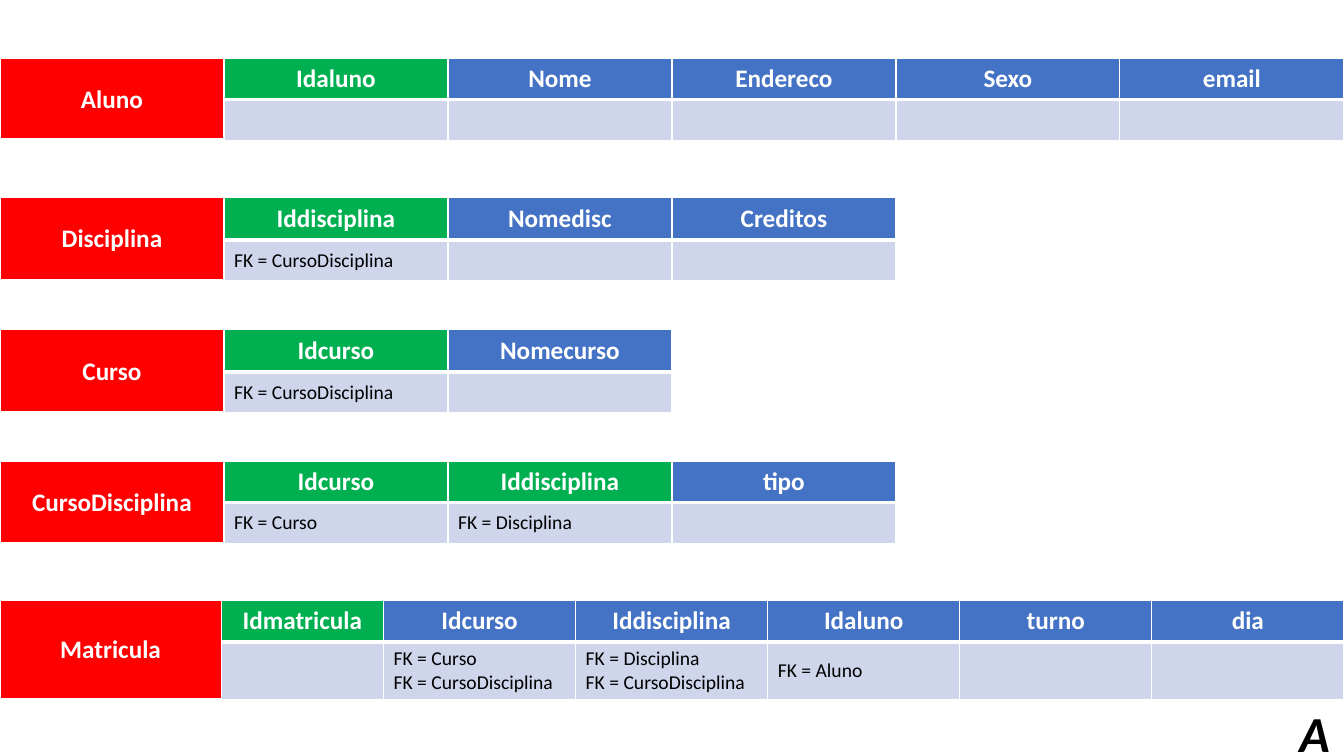
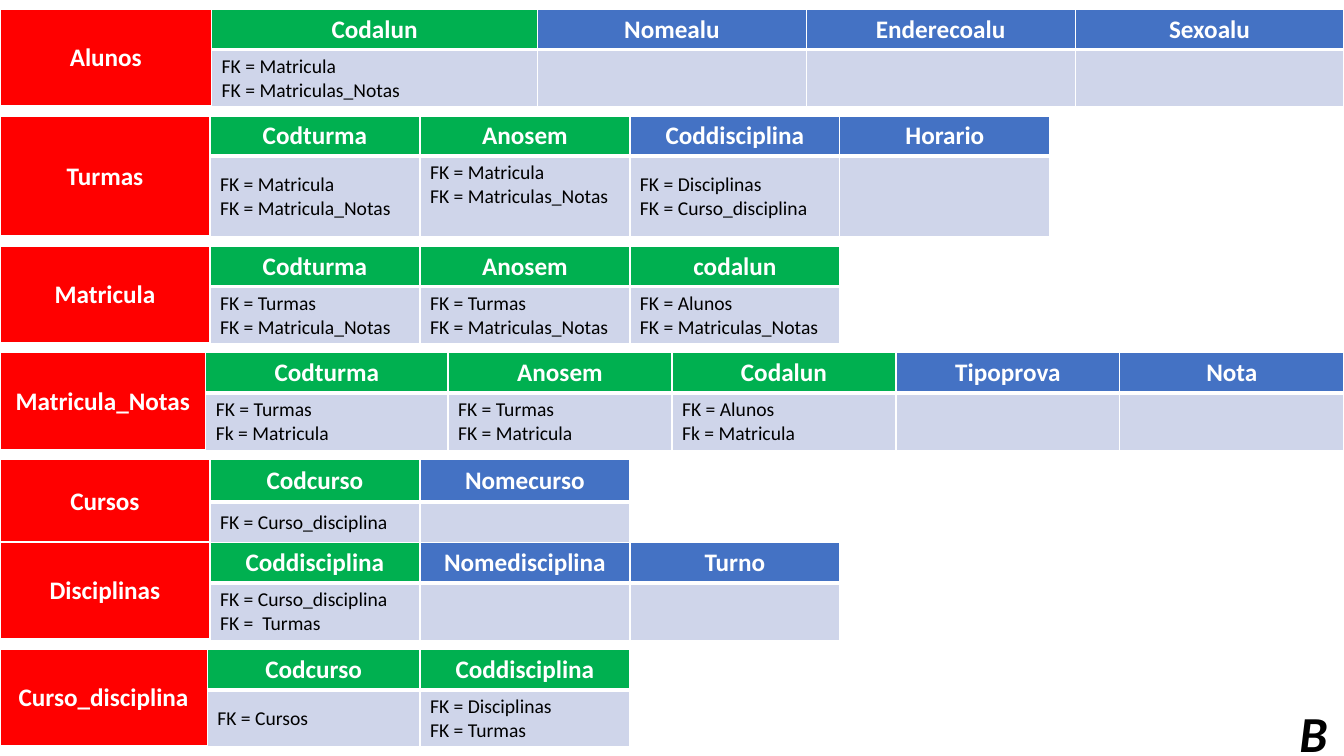
from dataclasses import dataclass

from lxml import etree
from pptx import Presentation
from pptx.dml.color import RGBColor
from pptx.enum.text import MSO_ANCHOR, PP_ALIGN
from pptx.oxml.ns import qn
from pptx.util import Pt

CENTER, LEFT = PP_ALIGN.CENTER, PP_ALIGN.LEFT
MIDDLE, TOP = MSO_ANCHOR.MIDDLE, MSO_ANCHOR.TOP

FONT = "Calibri"
WHITE, BLACK = "FFFFFF", "000000"
ENTITY_RED, KEY_GREEN = "FF0000", "00B050"
FIELD_BLUE, BODY_GREY = "4472C4", "CFD5EA"
SLIDE_WIDTH, SLIDE_HEIGHT = 960, 540
THIN, THICK = 1, 3

SINGLE = (28.8, 28.8)
ROOMY = (30, 29.5)
DOUBLE = (28.8, 41)
TALL = (28.8, 57.6)


@dataclass
class Field:
    name: str
    references: tuple = ()
    anchor: int = MIDDLE


@dataclass
class Entity:
    name: str
    top: float
    heights: tuple
    widths: list
    key_count: int
    fields: list


SCHEMA_A = [
    Entity("Aluno", 41.8, SINGLE, [160] * 6, 1, [
        Field("Idaluno"), Field("Nome"), Field("Endereco"),
        Field("Sexo"), Field("email")]),
    Entity("Disciplina", 141.2, ROOMY, [160] * 4, 1, [
        Field("Iddisciplina", ("FK = CursoDisciplina",)),
        Field("Nomedisc"), Field("Creditos")]),
    Entity("Curso", 235.6, ROOMY, [160] * 3, 1, [
        Field("Idcurso", ("FK = CursoDisciplina",)), Field("Nomecurso")]),
    Entity("CursoDisciplina", 329.8, SINGLE, [160] * 4, 2, [
        Field("Idcurso", ("FK = Curso",)),
        Field("Iddisciplina", ("FK = Disciplina",)), Field("tipo")]),
    Entity("Matricula", 429.2, DOUBLE, [158, 116] + [137.2] * 5, 1, [
        Field("Idmatricula"),
        Field("Idcurso", ("FK = Curso", "FK = CursoDisciplina")),
        Field("Iddisciplina", ("FK = Disciplina", "FK = CursoDisciplina")),
        Field("Idaluno", ("FK = Aluno",)), Field("turno"), Field("dia")]),
]

SCHEMA_B = [
    Entity("Alunos", 6.6, DOUBLE, [151.2, 232.8] + [192] * 3, 1, [
        Field("Codalun", ("FK = Matricula", "FK = Matriculas_Notas")),
        Field("Nomealu"), Field("Enderecoalu"), Field("Sexoalu")]),
    Entity("Turmas", 82.8, TALL, [150] * 5, 2, [
        Field("Codturma", ("FK = Matricula", "FK = Matricula_Notas")),
        Field("Anosem", ("FK = Matricula", "FK = Matriculas_Notas"), TOP),
        Field("Coddisciplina", ("FK = Disciplinas", "FK = Curso_disciplina")),
        Field("Horario")]),
    Entity("Matricula", 175.8, DOUBLE, [150] * 4, 3, [
        Field("Codturma", ("FK = Turmas", "FK = Matricula_Notas")),
        Field("Anosem", ("FK = Turmas", "FK = Matriculas_Notas")),
        Field("codalun", ("FK = Alunos", "FK = Matriculas_Notas"))]),
    Entity("Matricula_Notas", 252, DOUBLE, [147, 173] + [160] * 4, 3, [
        Field("Codturma", ("FK = Turmas", "Fk = Matricula")),
        Field("Anosem", ("FK = Turmas", "FK = Matricula")),
        Field("Codalun", ("FK = Alunos", "Fk = Matricula")),
        Field("Tipoprova"), Field("Nota")]),
    Entity("Cursos", 328.4, ROOMY, [150] * 3, 1, [
        Field("Codcurso", ("FK = Curso_disciplina",)), Field("Nomecurso")]),
    Entity("Disciplinas", 387.4, DOUBLE, [150] * 4, 1, [
        Field("Coddisciplina", ("FK = Curso_disciplina", "FK =  Turmas"), TOP),
        Field("Nomedisciplina"), Field("Turno")]),
    Entity("Curso_disciplina", 463.8, DOUBLE, [148, 152, 150], 2, [
        Field("Codcurso", ("FK = Cursos",)),
        Field("Coddisciplina", ("FK = Disciplinas", "FK = Turmas"))]),
]


def color(hex_value):
    return RGBColor.from_string(hex_value)


def style_font(font, size, hex_value, bold, italic=False):
    font.name, font.size = FONT, Pt(size)
    font.bold, font.italic = bold, italic
    font.color.rgb = color(hex_value)


def add_borders(cell, top, bottom):
    properties = cell._tc.get_or_add_tcPr()
    for side, width in (("L", THIN), ("R", THIN), ("T", top), ("B", bottom)):
        line = etree.SubElement(properties, qn(f"a:ln{side}"), w=str(Pt(width)))
        fill = etree.SubElement(line, qn("a:solidFill"))
        etree.SubElement(fill, qn("a:srgbClr"), val=WHITE)


def fill_cell(cell, fill, lines, header, anchor=MIDDLE):
    add_borders(cell, THIN if header else THICK, THICK if header else THIN)
    cell.fill.solid()
    cell.fill.fore_color.rgb = color(fill)
    cell.vertical_anchor = anchor
    cell.text = "\n".join(lines)
    for paragraph in cell.text_frame.paragraphs:
        paragraph.alignment = CENTER if header else LEFT
        style_font(paragraph.font, 18 if header else 14,
                   WHITE if header else BLACK, header)


def add_entity(slide, left, entity):
    table = slide.shapes.add_table(
        2, len(entity.widths), Pt(left), Pt(entity.top),
        Pt(sum(entity.widths)), Pt(sum(entity.heights))).table
    for column, width in zip(table.columns, entity.widths):
        column.width = Pt(width)
    for row, height in zip(table.rows, entity.heights):
        row.height = Pt(height)

    entity_cell = table.cell(0, 0)
    entity_cell.merge(table.cell(1, 0))
    fill_cell(entity_cell, ENTITY_RED, [entity.name], True)
    for index, field in enumerate(entity.fields, 1):
        header_fill = KEY_GREEN if index <= entity.key_count else FIELD_BLUE
        fill_cell(table.cell(0, index), header_fill, [field.name], True)
        fill_cell(table.cell(1, index), BODY_GREY, field.references, False,
                  field.anchor)


def add_letter(slide, left, top, width, height, letter):
    box = slide.shapes.add_textbox(Pt(left), Pt(top), Pt(width), Pt(height))
    paragraph = box.text_frame.paragraphs[0]
    paragraph.text = letter
    style_font(paragraph.font, 36, BLACK, True, True)


def add_schema_slide(presentation, letter, entities):
    slide = presentation.slides.add_slide(presentation.slide_layouts[6])
    for entity in entities:
        add_entity(slide, 0, entity)
    add_letter(slide, SLIDE_WIDTH - 39, 498.2, 39, 51, letter)


def main():
    presentation = Presentation()
    presentation.slide_width = Pt(SLIDE_WIDTH)
    presentation.slide_height = Pt(SLIDE_HEIGHT)
    add_schema_slide(presentation, "A", SCHEMA_A)
    add_schema_slide(presentation, "B", SCHEMA_B)
    presentation.save("out.pptx")


if __name__ == "__main__":
    main()
